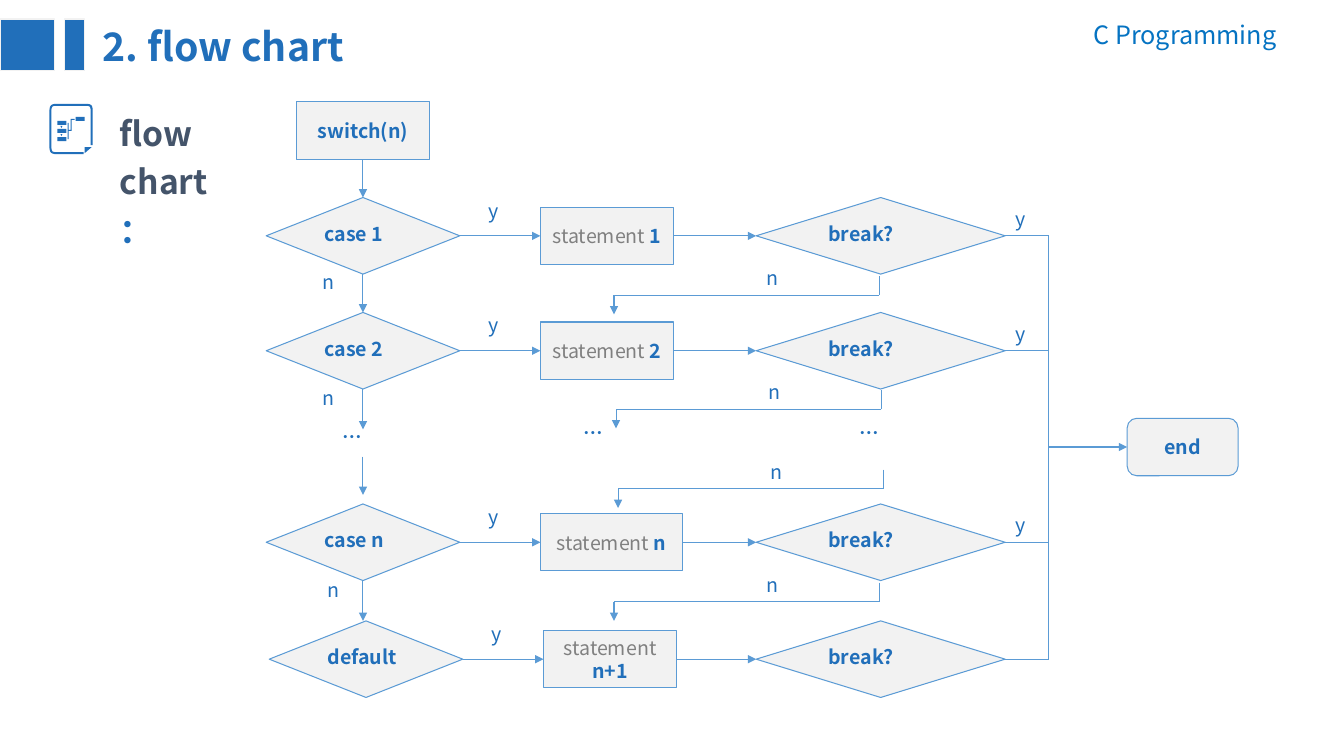
from pptx import Presentation
from pptx.dml.color import RGBColor
from pptx.enum.shapes import MSO_CONNECTOR, MSO_SHAPE
from pptx.enum.text import MSO_ANCHOR, MSO_AUTO_SIZE, PP_ALIGN
from pptx.oxml.ns import qn
from pptx.util import Inches, Pt
from lxml.etree import SubElement

FONT = "Noto Sans CJK SC"
COLORS = {"blue": "216FBA", "header": "0573C2", "slate": "44546A", "gray": "808080",
          "panel": "F2F2F2", "line": "5B9BD5"}
TOP, LEFT, BOTTOM, RIGHT = range(4)
CASE_LEFT, CASE_WIDTH = 2.64, 1.92
BREAK_LEFT, BREAK_WIDTH = 7.5, 2.47
DIAMOND_HEIGHT, BOX_WIDTH, BOX_HEIGHT = 0.76, 1.32, 0.57
CASE_CENTER = CASE_LEFT + CASE_WIDTH / 2
RAIL = 10.4
ROWS = [("case 1", "1", 1.96, 0, BOX_WIDTH), ("case 2", "2", 3.1, 0, BOX_WIDTH),
        ("case n", "n", 5, 0, 1.41), ("default", "n+1", 6.16, 0.03, BOX_WIDTH)]
NO_BRANCHES = [(8.72, 2.74), (8.74, 3.87), (8.76, 4.66), (8.72, 5.78)]
NO_LABELS = [(3.1, 2.63), (3.1, 3.78), (3.15, 5.68)]
DOTS = [(3.3, 4.17), (5.69, 4.13), (8.43, 4.13)]


def color(name):
    return RGBColor.from_string(COLORS[name])


def write(frame, spans, size=14, align=PP_ALIGN.LEFT, anchor=MSO_ANCHOR.TOP):
    frame.word_wrap = True
    frame.auto_size = MSO_AUTO_SIZE.NONE
    frame.vertical_anchor = anchor
    para = frame.paragraphs[0]
    para.alignment = align
    for text, tint, bold in spans:
        span = para.add_run()
        span.text = text
        span.font.name = FONT
        span.font.size = Pt(size)
        span.font.bold = bold
        span.font.color.rgb = color(tint)
    return para


def add_text(page, left, top, width, height, spans, **style):
    box = page.shapes.add_textbox(Inches(left), Inches(top), Inches(width), Inches(height))
    return write(box.text_frame, spans, **style)


def add_label(page, left, top, text, bold=False):
    add_text(page, left, top, 0.46, 0.36, [(text, "blue", bold)])


def add_block(page, kind, left, top, width, height, fill="panel", line="line", weight=0.75):
    block = page.shapes.add_shape(kind, Inches(left), Inches(top), Inches(width), Inches(height))
    block.shadow.inherit = False
    block.fill.solid()
    block.fill.fore_color.rgb = color(fill)
    block.line.color.rgb = color(line)
    block.line.width = Pt(weight)
    return block


def add_box(page, left, top, spans, width=BOX_WIDTH, kind=MSO_SHAPE.RECTANGLE):
    box = add_block(page, kind, left, top, width, BOX_HEIGHT)
    write(box.text_frame, spans, align=PP_ALIGN.CENTER, anchor=MSO_ANCHOR.MIDDLE)
    return box


def add_diamond(page, left, top, width, text):
    diamond = add_block(page, MSO_SHAPE.DIAMOND, left, top, width, DIAMOND_HEIGHT)
    write(diamond.text_frame, [(text, "blue", True)])
    return diamond


def add_line(page, start=(0, 0), end=(0, 0), source=None, target=None, arrow=True):
    line = page.shapes.add_connector(MSO_CONNECTOR.STRAIGHT, *map(Inches, start + end))
    if source:
        line.begin_connect(*source)
    if target:
        line.end_connect(*target)
    line.line.color.rgb = color("line")
    line.line.width = Pt(0.75)
    if arrow:
        SubElement(line.line._get_or_add_ln(), qn("a:tailEnd"), type="triangle")
    SubElement(line._element.spPr, qn("a:effectLst"))


def add_no_branch(page, x, y):
    drop, run = 0.19, 2.63
    corners = [(x, y), (x, y + drop), (x - run, y + drop), (x - run, y + 2 * drop)]
    for index, (start, end) in enumerate(zip(corners, corners[1:])):
        add_line(page, start, end, arrow=index == 2)
    add_label(page, x - 1.22, y - 0.15, "n")


def add_row(page, name, number, top, shift, box_width):
    middle = top + DIAMOND_HEIGHT / 2
    case = add_diamond(page, CASE_LEFT + shift, top, CASE_WIDTH, name)
    box = add_box(page, 5.36 + shift, middle - BOX_HEIGHT / 2,
                  [("statement ", "gray", False), (number, "blue", True)], box_width)
    check = add_diamond(page, BREAK_LEFT, top, BREAK_WIDTH, "break?")
    add_line(page, source=(case, RIGHT), target=(box, LEFT))
    add_line(page, source=(box, RIGHT), target=(check, LEFT))
    add_line(page, end=(RAIL, middle), source=(check, RIGHT), arrow=False)
    add_label(page, 4.75 + shift, top - 0.04, "y")
    if name != "default":
        add_label(page, 9.97, top + 0.04, "y")
    return case


def curve(*controls, steps=6):
    points = []
    for step in range(steps + 1):
        t = step / steps
        weights = ((1 - t) ** 3, 3 * t * (1 - t) ** 2, 3 * t * t * (1 - t), t ** 3)
        points.append(tuple(sum(w * point[axis] for w, point in zip(weights, controls))
                            for axis in (0, 1)))
    return points


def rectangle(left, top, width, height):
    return [(left, top), (left + width, top), (left + width, top + height), (left, top + height)]


def add_icon(page):
    sheet = [*curve((0.84, 1.03), (0.91, 1.03), (0.92, 1.04), (0.92, 1.11)),
             (0.92, 1.44), (0.9, 1.44),
             *curve((0.9, 1.11), (0.9, 1.05), (0.89, 1.05), (0.84, 1.05)),
             *curve((0.57, 1.05), (0.52, 1.05), (0.51, 1.05), (0.51, 1.11)),
             *curve((0.51, 1.45), (0.51, 1.51), (0.52, 1.51), (0.57, 1.51)),
             (0.83, 1.51), (0.83, 1.53),
             *curve((0.57, 1.53), (0.51, 1.53), (0.49, 1.52), (0.49, 1.45)),
             *curve((0.49, 1.11), (0.49, 1.04), (0.51, 1.03), (0.57, 1.03))]
    fold = [(0.84, 1.46), (0.91, 1.46), (0.84, 1.52)]
    link = [(0.7, 1.18), (0.74, 1.18), (0.74, 1.19), (0.71, 1.19), (0.71, 1.3), (0.68, 1.3),
            (0.68, 1.38), (0.67, 1.38), (0.67, 1.22), (0.68, 1.22), (0.68, 1.29), (0.7, 1.29)]
    steps = [rectangle(0.57, top, 0.09, 0.04) for top in (1.2, 1.28, 1.36)]
    arrows = [[(0.6, top), (0.62, top), (0.61, top + 0.02)] for top in (1.25, 1.33)]
    outlines = [sheet, fold, link, rectangle(0.75, 1.16, 0.09, 0.04), *steps, *arrows]
    builder = None
    for outline in outlines:
        points = [(Inches(x), Inches(y)) for x, y in outline]
        if builder:
            builder.move_to(*points[0])
        else:
            builder = page.shapes.build_freeform(*points[0], scale=1.0)
        builder.add_line_segments(points[1:], close=True)
    icon = builder.convert_to_shape()
    icon.shadow.inherit = False
    icon.fill.solid()
    icon.fill.fore_color.rgb = color("blue")
    icon.line.fill.background()


def add_heading(page):
    title = page.shapes.title
    title.left, title.top, title.width, title.height = map(Inches, (0.92, 0.17, 5.57, 1.04))
    write(title.text_frame, [("2. flow chart", "blue", True)], size=28)
    add_text(page, 9.76, 0.14, 3, 0.4, [("C Programming", "header", False)],
             size=18, align=PP_ALIGN.RIGHT)
    for left, width in ((0, 0.54), (0.64, 0.2)):
        add_block(page, MSO_SHAPE.RECTANGLE, left, 0.19, width, 0.51, "blue", "panel", 1)
    caption = add_text(page, 1.09, 0.99, 1.38, 1.07,
                       [("flow chart", "slate", True), ("：", "blue", True)], size=24)
    caption.line_spacing = 1.2
    add_icon(page)


def add_flow_chart(page):
    switch = add_box(page, CASE_CENTER - BOX_WIDTH / 2, 1.01, [("switch(n)", "blue", True)])
    first, second, last, _ = [add_row(page, *row) for row in ROWS]
    add_line(page, source=(switch, BOTTOM), target=(first, TOP))
    add_line(page, source=(first, BOTTOM), target=(second, TOP))
    add_line(page, end=(CASE_CENTER, 4.26), source=(second, BOTTOM))
    add_line(page, (CASE_CENTER, 4.53), (CASE_CENTER, 4.91))
    add_line(page, end=(CASE_CENTER, 6.16), source=(last, BOTTOM))
    for x, y in NO_BRANCHES:
        add_no_branch(page, x, y)
    for left, top in NO_LABELS:
        add_label(page, left, top, "n")
    for left, top in DOTS:
        add_label(page, left, top, "…", bold=True)
    rail_top, rail_bottom = (ROWS[index][2] + DIAMOND_HEIGHT / 2 for index in (0, -1))
    add_line(page, (RAIL, rail_top), (RAIL, rail_bottom), arrow=False)
    end = add_box(page, 11.18, 4.15, [("end", "blue", True)], 1.1, MSO_SHAPE.ROUNDED_RECTANGLE)
    add_line(page, (RAIL, 4.15 + BOX_HEIGHT / 2), target=(end, LEFT))


def main():
    deck = Presentation()
    deck.slide_width, deck.slide_height = Inches(13.33), Inches(7.5)
    page = deck.slides.add_slide(deck.slide_layouts[5])
    add_heading(page)
    add_flow_chart(page)
    deck.save("out.pptx")


if __name__ == "__main__":
    main()
